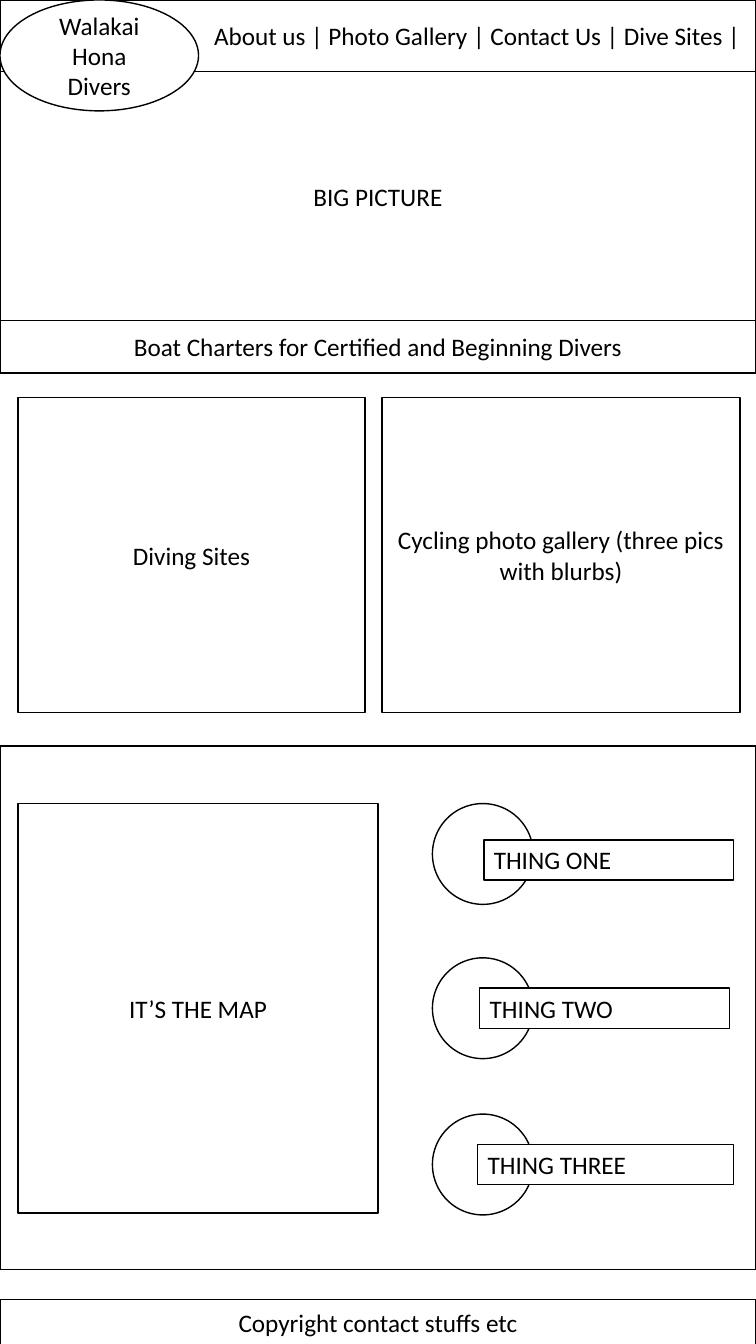
from pptx import Presentation
from pptx.dml.color import RGBColor
from pptx.enum.shapes import MSO_SHAPE
from pptx.enum.text import MSO_ANCHOR, MSO_AUTO_SIZE, PP_ALIGN
from pptx.util import Inches, Pt

COLORS = {"paper": "FFFFFF", "ink": "000000"}
FONT = "Calibri"
PAGE_WIDTH, PAGE_HEIGHT = 7.5, 13.33
MARGIN = 0.18
CIRCLE_LEFT, CIRCLE_SIZE = 4.29, 1
LABEL_HEIGHT = 0.4

BANDS = [
    ("BIG PICTURE", 0.71, 2.47, PP_ALIGN.CENTER),
    ("About us | Photo Gallery | Contact Us | Dive Sites | ", 0, 0.71, PP_ALIGN.RIGHT),
    ("Boat Charters for Certified and Beginning Divers", 3.18, 0.52, PP_ALIGN.CENTER),
    ("", 7.4, 5.19, PP_ALIGN.CENTER),
    ("Copyright contact stuffs etc", 12.89, 0.45, PP_ALIGN.CENTER),
]
PANELS = [
    ("Diving Sites", MARGIN, 3.94, 3.44, 3.13),
    ("Cycling photo gallery (three pics with blurbs)", 3.79, 3.94, 3.55, 3.13),
    ("IT’S THE MAP", MARGIN, 7.97, 3.57, 4.06),
]
BRAND = "Walakai Hona Divers"
THINGS = [
    ("THING ONE", 7.97, 4.8, 8.33, 2.48),
    ("THING TWO", 9.5, 4.76, 9.8, 2.48),
    ("THING THREE", 11.05, 4.74, 11.35, 2.54),
]


def color(name):
    return RGBColor.from_string(COLORS[name])


def add_box(page, text, left, top, width, height, kind=MSO_SHAPE.RECTANGLE,
            align=PP_ALIGN.CENTER, anchor=MSO_ANCHOR.MIDDLE):
    box = page.shapes.add_shape(
        kind, Inches(left), Inches(top), Inches(width), Inches(height))
    box.shadow.inherit = False
    box.fill.solid()
    box.fill.fore_color.rgb = color("paper")
    box.line.color.rgb = color("ink")
    box.line.width = Pt(1)
    if text:
        frame = box.text_frame
        frame.word_wrap = True
        frame.vertical_anchor = anchor
        para = frame.paragraphs[0]
        para.alignment = align
        span = para.add_run()
        span.text = text
        span.font.name = FONT
        span.font.size = Pt(18)
        span.font.color.rgb = color("ink")
    return box


deck = Presentation()
deck.slide_width = Inches(PAGE_WIDTH)
deck.slide_height = Inches(PAGE_HEIGHT)
page = deck.slides.add_slide(deck.slide_layouts[6])

for text, top, height, align in BANDS:
    add_box(page, text, 0, top, PAGE_WIDTH, height, align=align)

add_box(page, BRAND, 0, 0, 1.97, 1.1, MSO_SHAPE.OVAL)

for text, left, top, width, height in PANELS:
    add_box(page, text, left, top, width, height)

for text, circle_top, label_left, label_top, label_width in THINGS:
    add_box(page, "", CIRCLE_LEFT, circle_top, CIRCLE_SIZE, CIRCLE_SIZE, MSO_SHAPE.OVAL)
    label = add_box(page, text, label_left, label_top, label_width, LABEL_HEIGHT,
                    align=PP_ALIGN.LEFT, anchor=MSO_ANCHOR.TOP)
    label.text_frame.auto_size = MSO_AUTO_SIZE.SHAPE_TO_FIT_TEXT

deck.save("out.pptx")
